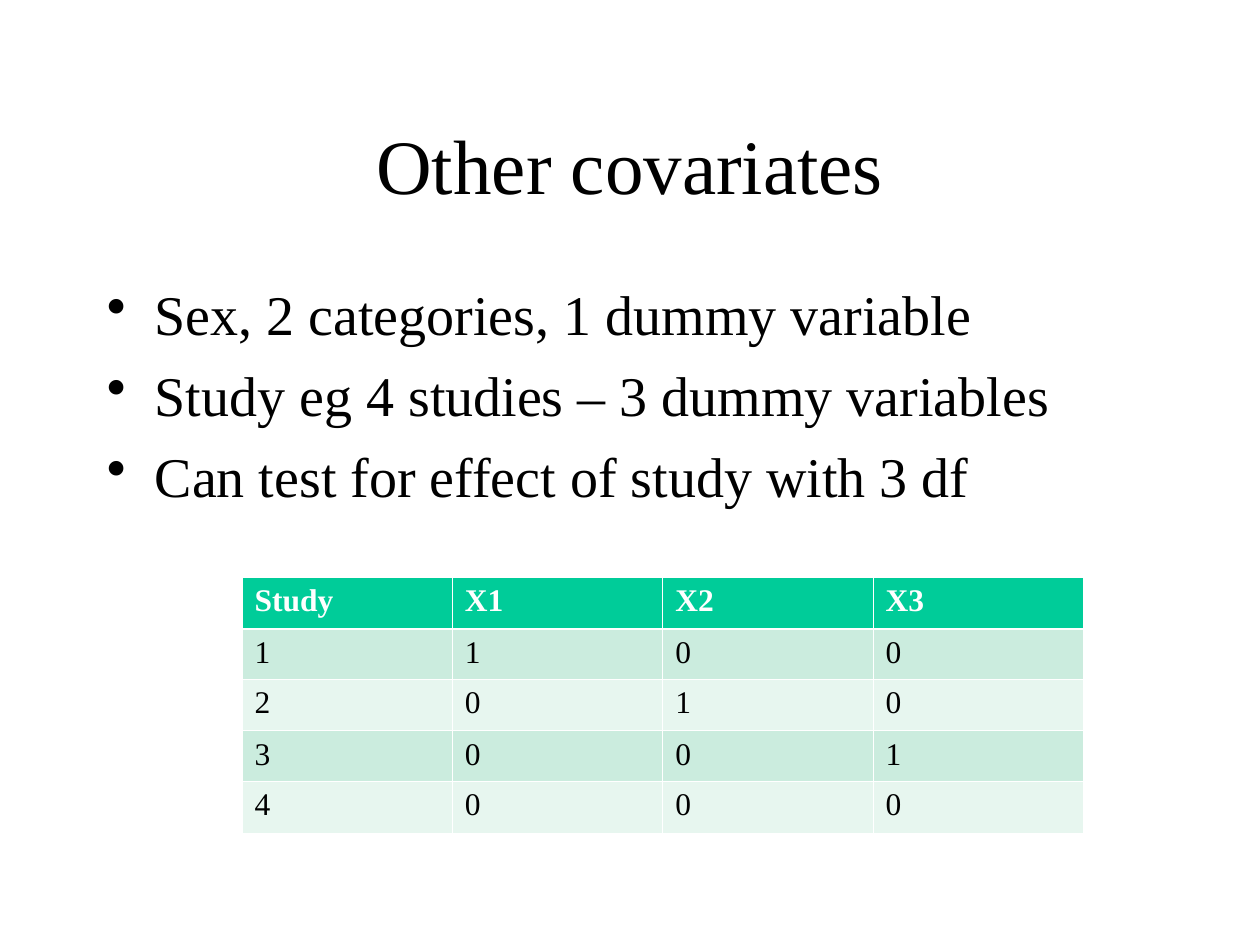
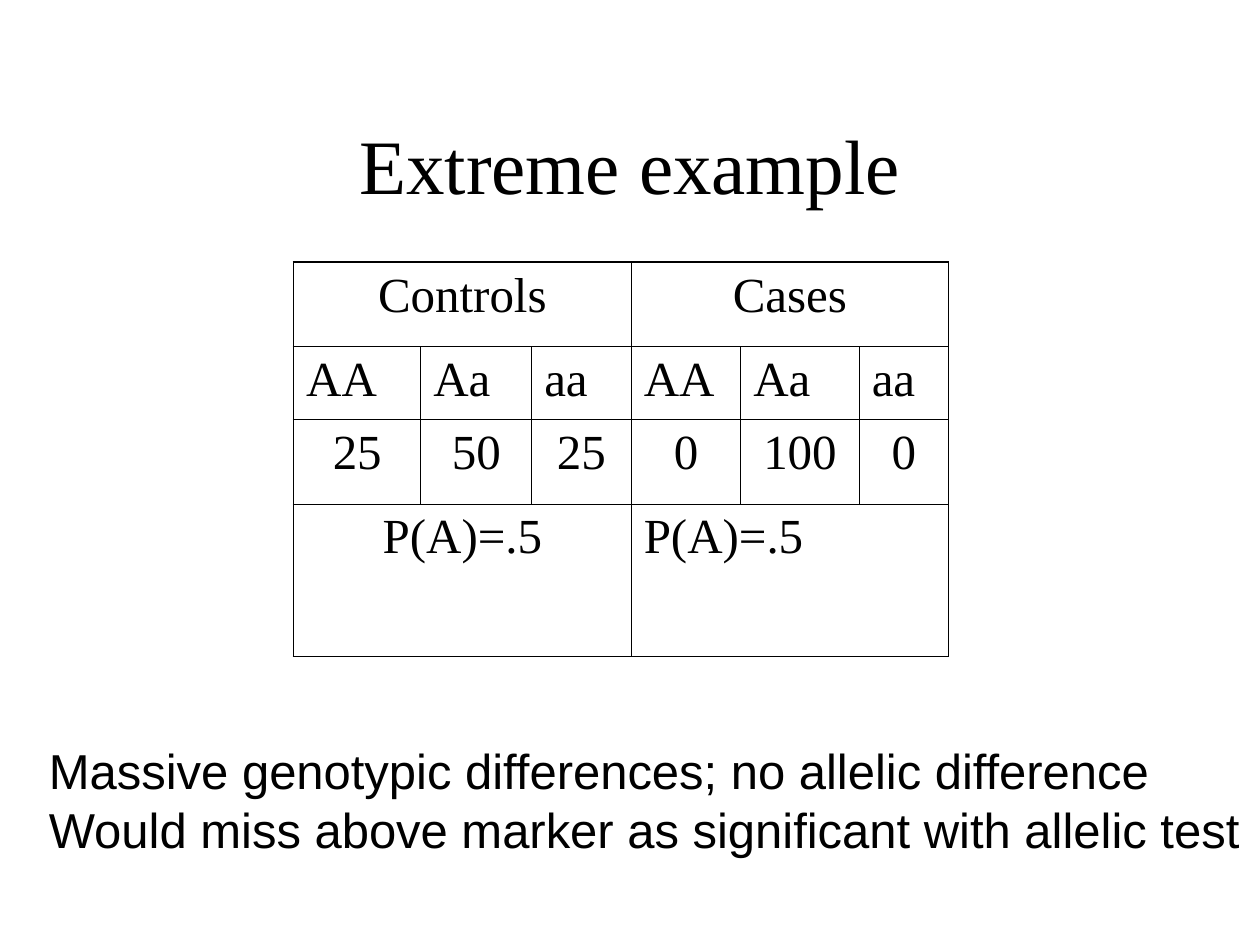
import pptx
import pptx.dml.color
import pptx.enum.text
import pptx.util
from lxml import etree
from pptx.oxml.ns import qn

Inches = pptx.util.Inches
Pt = pptx.util.Pt
RGBColor = pptx.dml.color.RGBColor
Align = pptx.enum.text.PP_ALIGN
Anchor = pptx.enum.text.MSO_ANCHOR

BLACK = RGBColor(0x00, 0x00, 0x00)
WHITE = RGBColor(0xFF, 0xFF, 0xFF)
GREEN = RGBColor(0x00, 0xCC, 0x99)
GREEN_PALE = RGBColor(0xCB, 0xEC, 0xDE)
GREEN_FAINT = RGBColor(0xE7, 0xF6, 0xEF)

SERIF = "Times New Roman"
SANS = "Arial"
THIN, OUTER, HEADER_RULE = 0.45, 1.08, 1.47


def write_text(frame, lines, *, size, font=SERIF, color=BLACK, bold=False,
               align=Align.LEFT, gap=0, bullet_indent=None):
    """Fill a text frame, one paragraph a line; gap is the space between them in points."""
    for index, line in enumerate(lines):
        paragraph = frame.add_paragraph() if index else frame.paragraphs[0]
        if bullet_indent:
            properties = paragraph._p.get_or_add_pPr()
            properties.set("marL", str(Inches(bullet_indent)))
            properties.set("indent", str(-Inches(bullet_indent)))
            etree.SubElement(properties, qn("a:buChar"), char="•")
        paragraph.alignment = align
        if index and gap:
            paragraph.space_before = Pt(gap)
        run = paragraph.add_run()
        run.text = line
        run.font.name = font
        run.font.size = Pt(size)
        run.font.bold = bold
        run.font.color.rgb = color


def set_borders(cell, color, widths):
    """Draw the left, right, top and bottom borders, widths in points."""
    properties = cell._tc.get_or_add_tcPr()
    for side, width in zip("LRTB", widths):
        border = etree.SubElement(properties, qn(f"a:ln{side}"), w=str(Pt(width)))
        solid = etree.SubElement(border, qn("a:solidFill"))
        etree.SubElement(solid, qn("a:srgbClr"), val=str(color))


class Deck:
    """Holds the presentation, its shared style and the current slide."""

    def __init__(self):
        self.presentation = pptx.Presentation()
        self.presentation.slide_width = Inches(10)
        self.presentation.slide_height = Inches(7.5)
        self.slide = None

    def new_slide(self, title):
        self.slide = self.presentation.slides.add_slide(self.presentation.slide_layouts[6])
        self.text(0.75, 0.67, 8.5, 1.25, [title], anchor=Anchor.MIDDLE,
                  size=44, align=Align.CENTER)

    def text(self, left, top, width, height, lines, *, wrap=True,
             anchor=Anchor.TOP, **text_format):
        box = self.slide.shapes.add_textbox(
            Inches(left), Inches(top), Inches(width), Inches(height))
        frame = box.text_frame
        frame.word_wrap = wrap
        frame.vertical_anchor = anchor
        write_text(frame, lines, **text_format)

    def table(self, left, top, widths, heights, rows, cell_style):
        """Add a table; None continues the cell on its left.

        cell_style(row, column, last_column) gives the fill, border colour,
        border widths and text format of a cell that ends at last_column.
        """
        table = self.slide.shapes.add_table(
            len(heights), len(widths), Inches(left), Inches(top),
            Inches(sum(widths)), Inches(sum(heights))).table
        for column, width in zip(table.columns, widths):
            column.width = Inches(width)
        for table_row, height in zip(table.rows, heights):
            table_row.height = Inches(height)
        for row, values in enumerate(rows):
            for column, value in enumerate(values):
                if value is None:
                    continue
                last = column
                while last + 1 < len(values) and values[last + 1] is None:
                    last += 1
                cell = table.cell(row, column)
                if last > column:
                    cell.merge(table.cell(row, last))
                fill, border_color, borders, text_format = cell_style(row, column, last)
                set_borders(cell, border_color, borders)
                if fill is None:
                    cell.fill.background()
                else:
                    cell.fill.solid()
                    cell.fill.fore_color.rgb = fill
                write_text(cell.text_frame, [value], **text_format)


def dummy_style(row, column, last):
    """White rules, a green header and alternating pale rows."""
    header = row == 0
    fill = GREEN if header else (GREEN_FAINT, GREEN_PALE)[row % 2]
    borders = (THIN, THIN, HEADER_RULE if row == 1 else THIN,
               HEADER_RULE if header else THIN)
    return fill, WHITE, borders, dict(size=18, bold=header,
                                      color=WHITE if header else BLACK)


def genotype_style(row, column, last):
    """Unfilled cells with a heavier rule around the whole table."""
    at_edge = (column == 0, last == 5, row == 0, row == 3)
    borders = [OUTER if edge else THIN for edge in at_edge]
    left_aligned = row == 1 or (row, column) == (3, 3)
    align = Align.LEFT if left_aligned else Align.CENTER
    return None, BLACK, borders, dict(size=28, align=align)


def covariates_slide(deck):
    deck.new_slide("Other covariates")
    deck.text(0.75, 2.17, 8.5, 4.5, [
        "Sex, 2 categories, 1 dummy variable",
        "Study eg 4 studies – 3 dummy variables",
        "Can test for effect of study with 3 df",
    ], size=32, gap=8, bullet_indent=0.38)
    studies = [[str(study)] + ["1" if study == dummy else "0" for dummy in (1, 2, 3)]
               for study in (1, 2, 3, 4)]
    deck.table(1.92, 4.58, [1.67] * 4, [0.41, 0.4, 0.41, 0.4, 0.41],
               [["Study", "X1", "X2", "X3"]] + studies, dummy_style)


def example_slide(deck):
    deck.new_slide("Extreme example")
    deck.table(2.33, 2.08, [1.01, 0.88, 0.79, 0.87, 0.94, 0.71],
               [0.67, 0.58, 0.67, 1.21], [
                   ["Controls", None, None, "Cases", None, None],
                   ["AA", "Aa", "aa"] * 2,
                   ["25", "50", "25", "0", "100", "0"],
                   ["P(A)=.5", None, None] * 2,
               ], genotype_style)
    deck.text(0.29, 5.83, 9.65, 1.04, [
        "Massive genotypic differences; no allelic difference",
        "Would miss above marker as significant with allelic test",
    ], size=28, font=SANS, wrap=False)


def main():
    deck = Deck()
    covariates_slide(deck)
    example_slide(deck)
    deck.presentation.save("out.pptx")


if __name__ == "__main__":
    main()
